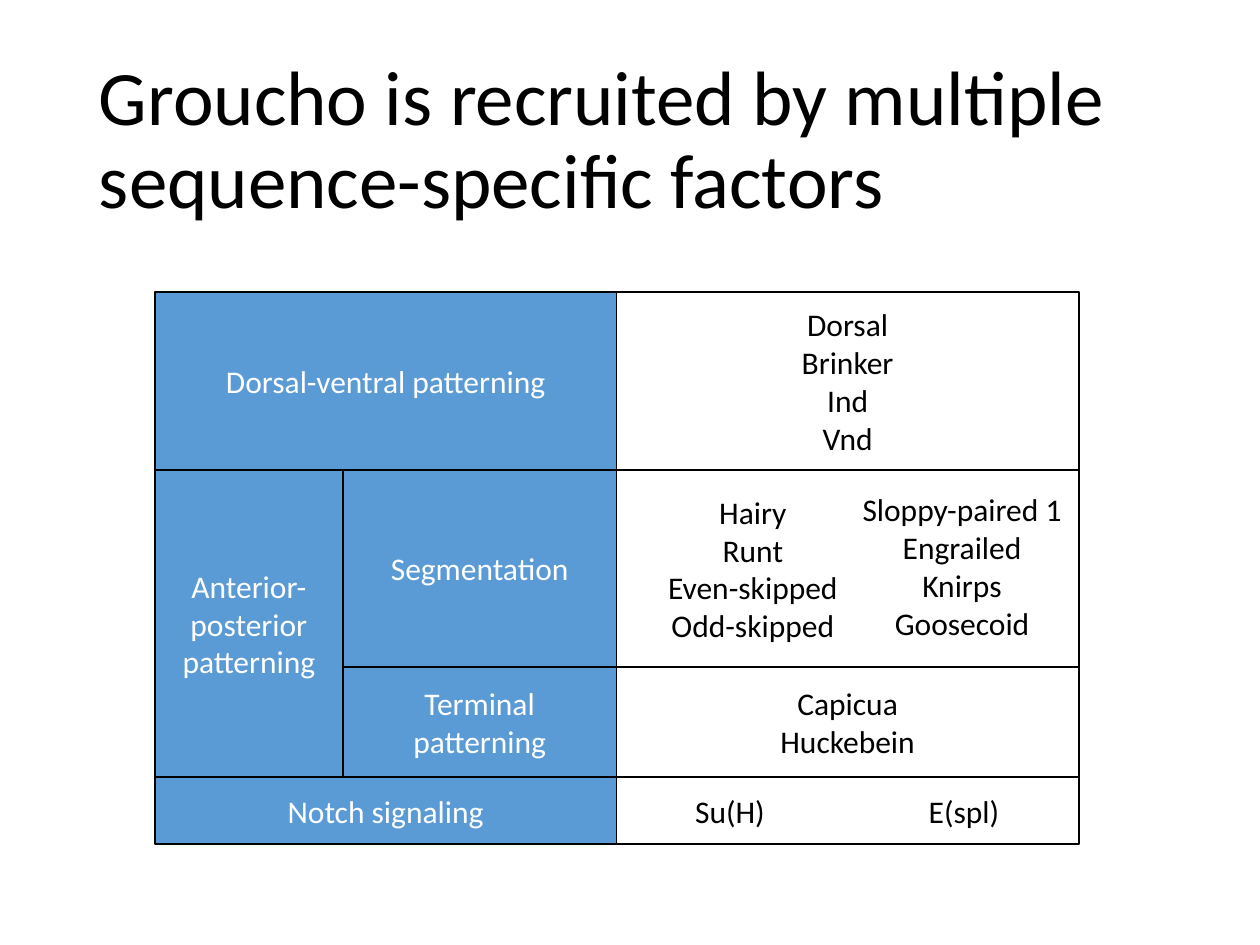
"""Build a slide of the factors that recruit Groucho, grouped by process."""
from dataclasses import dataclass

from lxml import etree
from pptx import Presentation
from pptx.dml.color import RGBColor
from pptx.enum import shapes, text
from pptx.oxml import ns
from pptx.util import Pt


@dataclass(frozen=True)
class Theme:
    font: str = "Calibri"
    title_size: float = 44
    body_size: float = 18
    line_width: float = 1
    blue: RGBColor = RGBColor(0x5B, 0x9B, 0xD5)
    white: RGBColor = RGBColor(0xFF, 0xFF, 0xFF)
    black: RGBColor = RGBColor(0x00, 0x00, 0x00)


THEME = Theme()
COLS = (88.5, 196, 352.3, 616.5)
ROWS = (167, 268.5, 381, 444.2, 482.5)


def write(s, lines, color, size=THEME.body_size, align=text.PP_ALIGN.CENTER):
    tf = s.text_frame
    tf.word_wrap = True
    tf.vertical_anchor = text.MSO_ANCHOR.MIDDLE
    for i, line in enumerate(lines):
        p = tf.paragraphs[0] if i == 0 else tf.add_paragraph()
        p.alignment = align
        r = p.add_run()
        r.text = line
        r.font.name = THEME.font
        r.font.size = Pt(size)
        r.font.color.rgb = color
    return tf


def add_text(slide, box, lines, **style):
    s = slide.shapes.add_textbox(*map(Pt, box))
    return write(s, lines, THEME.black, **style)


def add_cell(slide, cols, rows, lines=(), fill=None, color=THEME.black, **style):
    left, right = (COLS[i] for i in cols)
    top, bottom = (ROWS[i] for i in rows)
    s = slide.shapes.add_shape(shapes.MSO_SHAPE.RECTANGLE, Pt(left), Pt(top),
                               Pt(right - left), Pt(bottom - top))
    s.shadow.inherit = False
    if fill is None:
        s.fill.background()
    else:
        s.fill.solid()
        s.fill.fore_color.rgb = fill
    s.line.color.rgb = THEME.black
    s.line.width = Pt(THEME.line_width)
    return write(s, lines, color, **style)


def add_label(slide, cols, rows, label):
    add_cell(slide, cols, rows, [label], THEME.blue, THEME.white)


def set_center_tabs(p, stops):
    tabs = etree.SubElement(p._p.get_or_add_pPr(), ns.qn("a:tabLst"))
    for stop in stops:
        etree.SubElement(tabs, ns.qn("a:tab"), pos=str(Pt(stop)), algn="ctr")


def main():
    prs = Presentation()
    prs.slide_width, prs.slide_height = Pt(720), Pt(540)
    slide = prs.slides.add_slide(prs.slide_layouts[6])

    tf = add_text(slide, (49.5, 28.8, 621, 104.4),
                  ["Groucho is recruited by multiple sequence-specific factors"],
                  size=THEME.title_size, align=text.PP_ALIGN.LEFT)
    tf.paragraphs[0].line_spacing = 0.9

    add_label(slide, (0, 2), (0, 1), "Dorsal-ventral patterning")
    add_label(slide, (0, 1), (1, 3), "Anterior-posterior patterning")
    add_label(slide, (0, 2), (3, 4), "Notch signaling")
    add_label(slide, (1, 2), (1, 2), "Segmentation")
    add_label(slide, (1, 2), (2, 3), "Terminal patterning")

    add_cell(slide, (2, 3), (0, 1), ["Dorsal", "Brinker", "Ind", "Vnd"])
    add_text(slide, (363.6, 268.5, 133.2, 112.5),
             ["Hairy", "Runt", "Even-skipped", "Odd-skipped"])
    add_text(slide, (484.6, 267, 130.3, 112.5),
             ["Sloppy-paired 1", "Engrailed", "Knirps", "Goosecoid"])
    add_cell(slide, (2, 3), (2, 3), ["Capicua", "Huckebein"], THEME.white)
    tf = add_cell(slide, (2, 3), (3, 4), ["\tSu(H)\tE(spl)"], THEME.white,
                  align=text.PP_ALIGN.LEFT)
    set_center_tabs(tf.paragraphs[0], (57.8, 191.5))
    add_cell(slide, (2, 3), (1, 2))

    prs.save("out.pptx")


if __name__ == "__main__":
    main()
